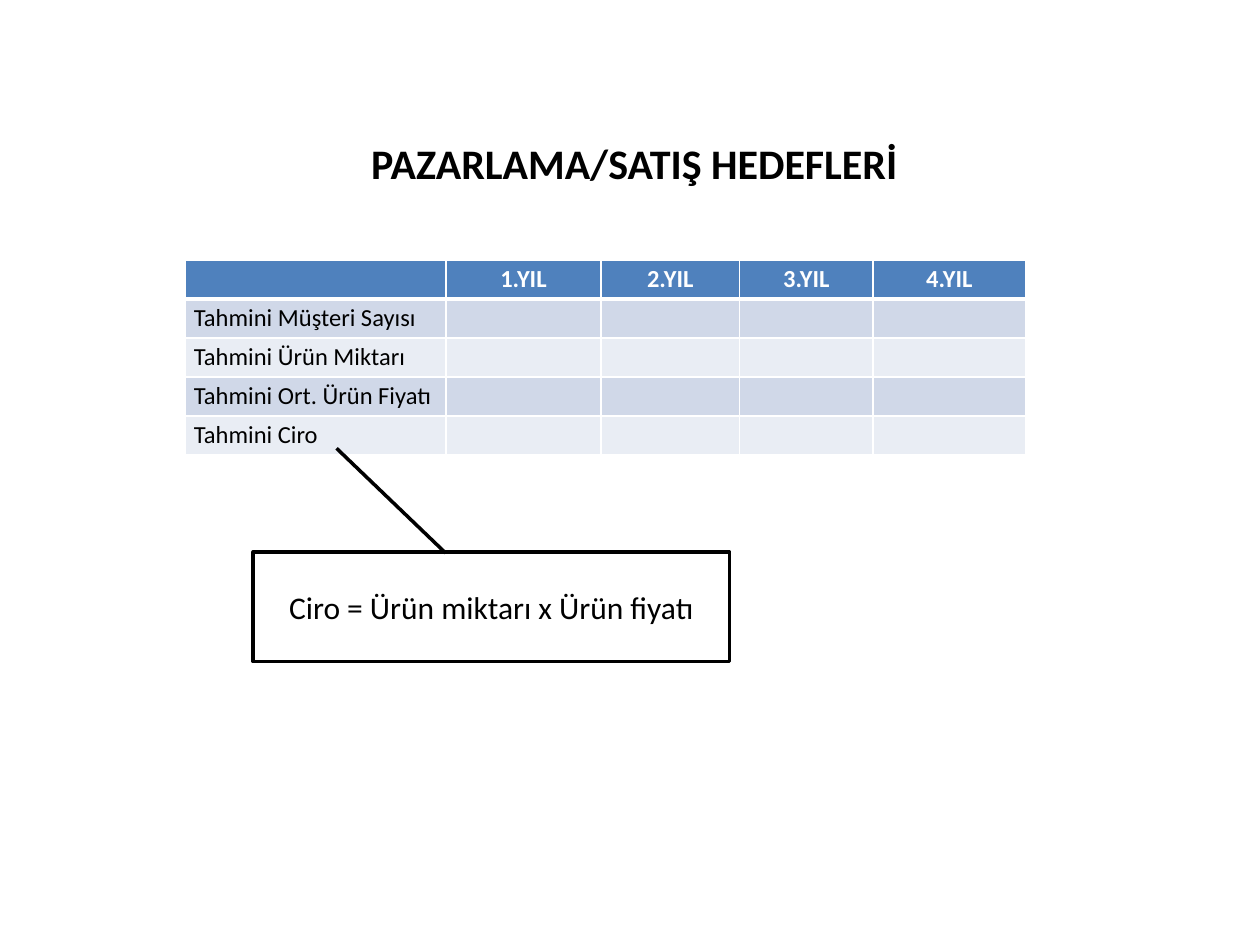
from lxml import etree
from pptx import Presentation
from pptx.dml.color import RGBColor
from pptx.enum.shapes import MSO_SHAPE
from pptx.enum.text import MSO_ANCHOR, PP_ALIGN
from pptx.oxml.ns import qn
from pptx.util import Inches, Pt

CALLOUT = MSO_SHAPE.LINE_CALLOUT_1
MIDDLE = MSO_ANCHOR.MIDDLE
CENTER, LEFT = PP_ALIGN.CENTER, PP_ALIGN.LEFT
BLACK = RGBColor(0x00, 0x00, 0x00)
WHITE = RGBColor(0xFF, 0xFF, 0xFF)
HEADER_BLUE = RGBColor(0x4F, 0x81, 0xBD)
DARK_BAND = RGBColor(0xD0, 0xD8, 0xE8)
LIGHT_BAND = RGBColor(0xE9, 0xED, 0xF4)

HEADINGS = ["", "1.YIL", "2.YIL", "3.YIL", "4.YIL"]
ROW_LABELS = [
    "Tahmini Müşteri Sayısı",
    "Tahmini Ürün Miktarı",
    "Tahmini Ort. Ürün Fiyatı",
    "Tahmini Ciro",
]
COLUMN_SHARES = [0.207, 0.123, 0.11, 0.106, 0.121]
ROW_SHARE = 0.0413
CELL_SIZE = 14

presentation = Presentation()
presentation.slide_width = Inches(10)
presentation.slide_height = Inches(7.5)
slide = presentation.slides.add_slide(presentation.slide_layouts[6])


def place(left, top, width, height):
    slide_width, slide_height = presentation.slide_width, presentation.slide_height
    return (int(left * slide_width), int(top * slide_height),
            int(width * slide_width), int(height * slide_height))


def write(text_frame, text, size, color, alignment, bold=False):
    text_frame.text = text
    text_frame.word_wrap = True
    paragraph = text_frame.paragraphs[0]
    paragraph.alignment = alignment
    for run in paragraph.runs:
        run.font.name = "Calibri"
        run.font.size = Pt(size)
        run.font.bold = bold
        run.font.color.rgb = color


title = slide.shapes.add_textbox(*place(0.146, 0.137, 0.715, 0.071))
write(title.text_frame, "PAZARLAMA/SATIŞ HEDEFLERİ", 24, BLACK, CENTER, bold=True)
title.text_frame.vertical_anchor = MIDDLE

rows = [HEADINGS] + [[label] + [""] * 4 for label in ROW_LABELS]
table_area = place(0.147, 0.275, sum(COLUMN_SHARES), ROW_SHARE * len(rows))
table = slide.shapes.add_table(len(rows), len(HEADINGS), *table_area).table
for column, share in zip(table.columns, COLUMN_SHARES):
    column.width = int(share * presentation.slide_width)

for row_index, row in enumerate(rows):
    is_header = row_index == 0
    band = DARK_BAND if row_index % 2 else LIGHT_BAND
    for column_index, text in enumerate(row):
        cell = table.cell(row_index, column_index)
        cell.margin_left = cell.margin_right = Pt(5)
        cell.margin_top = cell.margin_bottom = Pt(2.5)
        write(cell.text_frame, text, CELL_SIZE, WHITE if is_header else BLACK,
              CENTER if is_header else LEFT, bold=is_header)
        if not text:
            paragraph = cell.text_frame.paragraphs[0]
            etree.SubElement(paragraph._p, qn("a:endParaRPr"), sz=str(CELL_SIZE * 100))
        properties = cell._tc.get_or_add_tcPr()
        for side in ("L", "R", "T", "B"):
            thick = (is_header and side == "B") or (row_index == 1 and side == "T")
            border = etree.SubElement(properties, qn(f"a:ln{side}"), w=str(Pt(3 if thick else 1)))
            fill = etree.SubElement(border, qn("a:solidFill"))
            etree.SubElement(fill, qn("a:srgbClr"), val=str(WHITE))
        cell.fill.solid()
        cell.fill.fore_color.rgb = HEADER_BLUE if is_header else band

callout = slide.shapes.add_shape(CALLOUT, *place(0.201, 0.584, 0.378, 0.116))
for index, adjustment in enumerate([0.011, 0.404, -0.944, 0.175]):
    callout.adjustments[index] = adjustment
callout.shadow.inherit = False
callout.fill.solid()
callout.fill.fore_color.rgb = WHITE
callout.line.color.rgb = BLACK
callout.line.width = Pt(2)
write(callout.text_frame, "Ciro = Ürün miktarı x Ürün fiyatı", 18, BLACK, CENTER)
callout.text_frame.vertical_anchor = MIDDLE

presentation.save("out.pptx")
